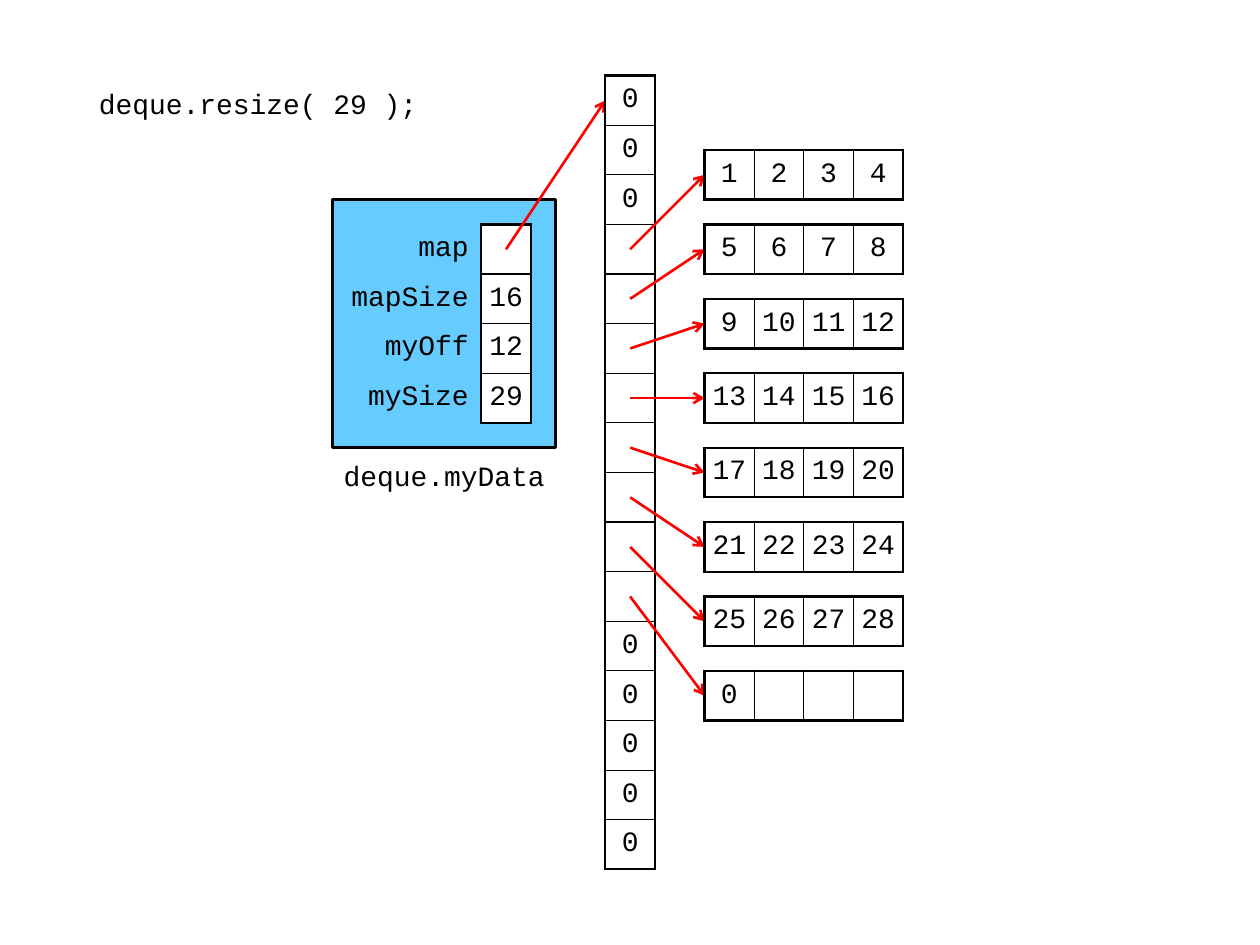
from dataclasses import dataclass

from lxml.etree import SubElement
from pptx import Presentation
from pptx.dml.color import RGBColor
from pptx.enum.shapes import MSO_CONNECTOR, MSO_SHAPE
from pptx.enum.text import MSO_ANCHOR, PP_ALIGN
from pptx.oxml.ns import qn
from pptx.util import Inches, Pt


@dataclass(frozen=True)
class Theme:
    ink: str = "000000"
    paper: str = "FFFFFF"
    panel: str = "66CCFF"
    link: str = "FF0000"
    font: str = "Courier New"
    size: float = 16
    thick: float = 1.5
    thin: float = 0.75
    inset: float = 0.04
    wide: float = 0.1


class Sketch:
    """Draws on a slide with a square grid whose unit is one table cell."""

    unit = 6.3 / 16
    left, top = 0.67, 0.6

    def __init__(self, slide, theme):
        self.slide, self.theme = slide, theme

    def span(self, count):
        return Inches(count * self.unit)

    def spot(self, col, row):
        return Inches(self.left) + self.span(col), Inches(self.top) + self.span(row)

    def area(self, col, row, cols, rows):
        return *self.spot(col, row), self.span(cols), self.span(rows)

    def words(self, frame, text, align=PP_ALIGN.CENTER):
        para = frame.paragraphs[0]
        para.alignment = align
        if not text:
            return
        run = para.add_run()
        run.text = text
        run.font.name, run.font.size = self.theme.font, Pt(self.theme.size)
        run.font.color.rgb = RGBColor.from_string(self.theme.ink)

    def text(self, text, *area):
        frame = self.slide.shapes.add_textbox(*self.area(*area)).text_frame
        frame.word_wrap = True
        frame.vertical_anchor = MSO_ANCHOR.MIDDLE
        frame.margin_left = frame.margin_right = frame.margin_bottom = 0
        frame.margin_top = Inches(self.theme.inset)
        self.words(frame, text)

    def box(self, *area):
        shape = self.slide.shapes.add_shape(
            MSO_SHAPE.FLOWCHART_PROCESS, *self.area(*area))
        shape.shadow.inherit = False
        shape.fill.solid()
        shape.fill.fore_color.rgb = RGBColor.from_string(self.theme.panel)
        shape.line.color.rgb = RGBColor.from_string(self.theme.ink)
        shape.line.width = Pt(self.theme.thick)

    def arrow(self, start, end):
        line = self.slide.shapes.add_connector(
            MSO_CONNECTOR.STRAIGHT, *self.spot(*start), *self.spot(*end))
        line.line.color.rgb = RGBColor.from_string(self.theme.link)
        line.line.width = Pt(self.theme.thick)
        props = line._element.spPr
        SubElement(props.find(qn("a:ln")), qn("a:tailEnd"), type="arrow")
        SubElement(props, qn("a:effectLst"))

    def edges(self, cell, widths):
        """Set left, right, top and bottom borders; a width of 0 hides one."""
        props = cell._tc.get_or_add_tcPr()
        for side, width in zip("LRTB", widths):
            line = SubElement(props, qn(f"a:ln{side}"), w=str(Pt(width)))
            if width:
                fill = SubElement(line, qn("a:solidFill"))
                SubElement(fill, qn("a:srgbClr"), val=self.theme.ink)
            else:
                SubElement(line, qn("a:noFill"))

    def table(self, col, row, data, labels=0):
        """Draw rows of cells; labels is the width of a borderless first column."""
        look = self.theme
        widths = [1] * len(data[0])
        if labels:
            widths[0] = labels
        first, last, end = int(labels > 0), len(widths) - 1, len(data) - 1
        area = self.area(col, row, sum(widths), len(data))
        grid = self.slide.shapes.add_table(len(data), len(widths), *area).table
        grid.first_row = grid.horz_banding = False
        for column, width in zip(grid.columns, widths):
            column.width = self.span(width)
        for r, items in enumerate(data):
            grid.rows[r].height = self.span(1)
            for c, text in enumerate(items):
                cell, label = grid.cell(r, c), c < first
                cell.vertical_anchor = MSO_ANCHOR.MIDDLE
                cell.margin_top = cell.margin_bottom = Inches(look.inset)
                side = look.wide if label else look.inset
                cell.margin_left = cell.margin_right = Inches(side)
                outer = (c == first, c == last, r == 0, r == end)
                self.edges(cell, (0, look.thick, 0, 0) if label else
                           [look.thick if out else look.thin for out in outer])
                if labels and not label:
                    cell.fill.solid()
                    cell.fill.fore_color.rgb = RGBColor.from_string(look.paper)
                else:
                    cell.fill.background()
                self.words(cell.text_frame, text,
                           PP_ALIGN.RIGHT if label else PP_ALIGN.CENTER)


def main():
    deck = Presentation()
    deck.slide_width, deck.slide_height = Inches(10), Inches(7.5)
    art = Sketch(deck.slides.add_slide(deck.slide_layouts[6]), Theme())

    art.text("deque.resize( 29 );", 0, 0, 7, 1)
    art.text("deque.myData", 5, 7.5, 4.5, 1)
    art.box(5, 2.5, 4.5, 5)
    fields = [("map", ""), ("mapSize", "16"), ("myOff", "12"), ("mySize", "29")]
    art.table(5, 3, fields, labels=3)
    art.arrow((8.5, 3.5), (10.5, 0.5))

    blocks = [[str(4 * i + j) for j in range(1, 5)] for i in range(7)]
    blocks.append(["0", "", "", ""])
    used = range(3, 3 + len(blocks))
    art.table(10.5, 0, [["" if i in used else "0"] for i in range(16)])
    for i, block in enumerate(blocks):
        row = 1.5 * (i + 1)
        art.arrow((11, used[i] + 0.5), (12.5, row + 0.5))
        art.table(12.5, row, [block])

    deck.save("out.pptx")


if __name__ == "__main__":
    main()
